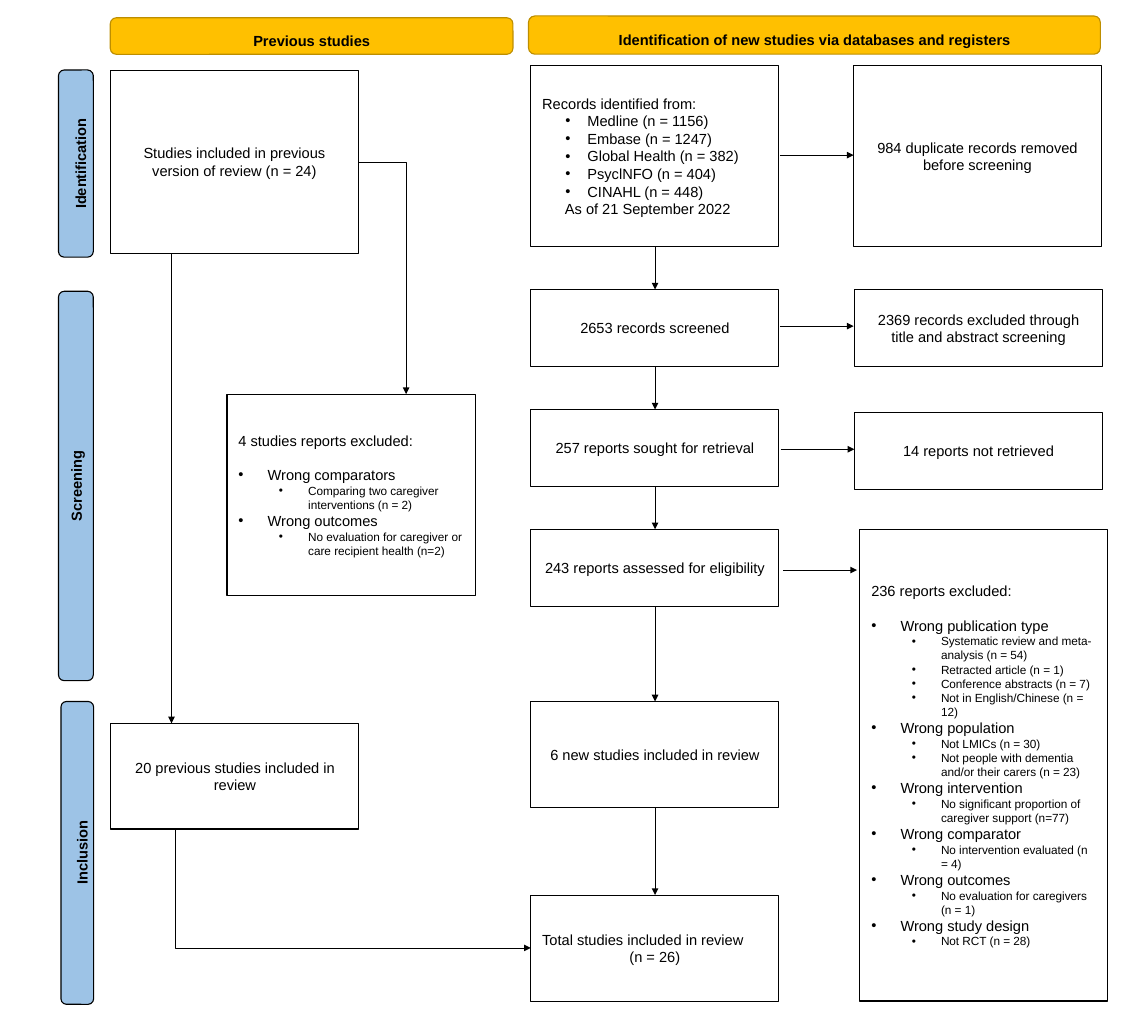
import pptx
import pptx.dml.color
import pptx.enum.shapes
import pptx.enum.text
import pptx.oxml.ns
import lxml.etree
from pptx.util import Pt

BLACK = pptx.dml.color.RGBColor(0x00, 0x00, 0x00)
WHITE = pptx.dml.color.RGBColor(0xFF, 0xFF, 0xFF)
AMBER = pptx.dml.color.RGBColor(0xFF, 0xC0, 0x00)
DARK_AMBER = pptx.dml.color.RGBColor(0xBD, 0x8E, 0x00)
SKY = pptx.dml.color.RGBColor(0x9D, 0xC3, 0xE6)

SHAPE = pptx.enum.shapes.MSO_SHAPE
CONNECTOR = pptx.enum.shapes.MSO_CONNECTOR
ALIGN = pptx.enum.text.PP_ALIGN

POINTS_PER_CM = 72 / 2.54
PAGE_WIDTH = 36 * POINTS_PER_CM
PAGE_HEIGHT = 32 * POINTS_PER_CM

BOX_WIDTH = 220.6
PREVIOUS_LEFT = 98
NEW_LEFT = 471.8
NEW_CENTRE = 582.3
REMOVED_LEFT = 759.5

DATABASES = [
    "Medline (n = 1156)",
    "Embase (n = 1247)",
    "Global Health (n = 382)",
    "PsyclNFO (n = 404)",
    "CINAHL (n = 448)",
]
PREVIOUS_EXCLUSIONS = {
    "Wrong comparators": ["Comparing two caregiver interventions (n = 2)"],
    "Wrong outcomes": ["No evaluation for caregiver or care recipient health (n=2)"],
}
NEW_EXCLUSIONS = {
    "Wrong publication type": [
        "Systematic review and meta-analysis (n = 54)",
        "Retracted article (n = 1)",
        "Conference abstracts (n = 7)",
        "Not in English/Chinese (n = 12)",
    ],
    "Wrong population": [
        "Not LMICs (n = 30)",
        "Not people with dementia and/or their carers (n = 23)",
    ],
    "Wrong intervention": ["No significant proportion of caregiver support (n=77)"],
    "Wrong comparator": ["No intervention evaluated (n = 4)"],
    "Wrong outcomes": ["No evaluation for caregivers (n = 1)"],
    "Wrong study design": ["Not RCT (n = 28)"],
}


def add_child(parent, tag, **attributes):
    return lxml.etree.SubElement(parent, pptx.oxml.ns.qn(tag), **attributes)


def write(box, text, size=13, bold=False, align=ALIGN.CENTER, level=0,
          margin=0, hanging=0, spacing=None, after=None):
    """Add one paragraph to the box; a hanging indent also gives it a bullet."""
    para = box.text_frame.paragraphs[0]
    if para.runs:
        para = box.text_frame.add_paragraph()
    para.alignment = align
    para.level = level
    if spacing:
        para.line_spacing = spacing
    if after:
        para.space_after = Pt(after)
    properties = para._p.get_or_add_pPr()
    properties.set("marL", str(Pt(margin)))
    properties.set("indent", str(Pt(-hanging)))
    if hanging:
        add_child(properties, "a:buFont", typeface="Arial")
        add_child(properties, "a:buChar", char="•")
    span = para.add_run()
    span.text = text
    span.font.name = "Arial"
    span.font.size = Pt(size)
    span.font.bold = bold
    span.font.color.rgb = BLACK


def add_box(page, left, top, width, height, kind=SHAPE.RECTANGLE, fill=None, line=BLACK):
    box = page.shapes.add_shape(kind, Pt(left), Pt(top), Pt(width), Pt(height))
    box.shadow.inherit = False
    if fill is None:
        box.fill.background()
    else:
        box.fill.solid()
        box.fill.fore_color.rgb = fill
    box.line.color.rgb = line
    box.line.width = Pt(1)
    frame = box.text_frame
    frame.word_wrap = True
    frame.vertical_anchor = pptx.enum.text.MSO_ANCHOR.MIDDLE
    frame.margin_left = frame.margin_right = Pt(10.2)
    frame.margin_top = frame.margin_bottom = Pt(5.1)
    return box


def add_step(page, text, left, top, height):
    write(add_box(page, left, top, BOX_WIDTH, height), text)


def add_heading(page, text, left, top, width, height):
    box = add_box(page, left, top, width, height,
                  SHAPE.FLOWCHART_ALTERNATE_PROCESS, AMBER, DARK_AMBER)
    write(box, text, bold=True, spacing=1.5)


def add_stage(page, text, left, top, width, height, spacing=1.5):
    """Add an upright label whose visible edges are the given ones."""
    shift = (height - width) / 2
    box = add_box(page, left - shift, top + shift, height, width,
                  SHAPE.FLOWCHART_ALTERNATE_PROCESS, SKY)
    box.rotation = 270
    write(box, text, bold=True, spacing=spacing)


def add_exclusions(page, title, reasons, left, top, height, fill=None):
    box = add_box(page, left, top, BOX_WIDTH, height, fill=fill)
    write(box, title, align=ALIGN.LEFT, after=15)
    for reason, details in reasons.items():
        write(box, reason, align=ALIGN.LEFT, margin=26, hanging=26)
        for detail in details:
            write(box, detail, size=10.5, align=ALIGN.LEFT, level=1, margin=62, hanging=26)


def add_arrow(page, start, end, kind=CONNECTOR.STRAIGHT):
    arrow = page.shapes.add_connector(kind, *map(Pt, start + end))
    arrow.line.color.rgb = BLACK
    arrow.line.width = Pt(0.5)
    add_child(arrow.line._get_or_add_ln(), "a:tailEnd", type="triangle")
    add_child(arrow._element.spPr, "a:effectLst")
    return arrow


def add_elbow(page, start, end, preset, bend=None):
    """Add a bent arrow; bend is the turning point in thousandths of a percent."""
    arrow = add_arrow(page, start, end, CONNECTOR.ELBOW)
    geometry = arrow._element.spPr.find(pptx.oxml.ns.qn("a:prstGeom"))
    geometry.set("prst", preset)
    if bend is not None:
        guides = geometry.find(pptx.oxml.ns.qn("a:avLst"))
        add_child(guides, "a:gd", name="adj1", fmla=f"val {bend}")


def add_previous_studies(page):
    add_heading(page, "Previous studies", PREVIOUS_LEFT, 15.8, 358, 32.5)
    add_step(page, "Studies included in previous version of review (n = 24)",
             PREVIOUS_LEFT, 62.5, 163)
    add_exclusions(page, "4 studies reports excluded:", PREVIOUS_EXCLUSIONS,
                   201.8, 350.5, 179, WHITE)
    add_step(page, "20 previous studies included in review", PREVIOUS_LEFT + 0.5, 643.3, 94)
    add_arrow(page, (152.5, 225.5), (152.5, 643.3))
    add_elbow(page, (319, 144), (361, 350.5), "bentConnector2")
    add_elbow(page, (152.5, 737.2), (NEW_LEFT, 843), "bentConnector3", 1100)


def add_new_studies(page):
    add_heading(page, "Identification of new studies via databases and registers",
                469.8, 14.2, 508.3, 34)

    records = add_box(page, NEW_LEFT, 58.3, BOX_WIDTH, 161)
    write(records, "Records identified from:", align=ALIGN.JUSTIFY)
    for database in DATABASES:
        write(records, database, align=ALIGN.JUSTIFY, margin=40.2, hanging=19.5)
    write(records, "As of 21 September 2022", align=ALIGN.JUSTIFY, margin=20.2)

    add_step(page, "2653 records screened", NEW_LEFT, 257.5, 68.4)
    add_step(page, "257 reports sought for retrieval", NEW_LEFT, 364.2, 68.4)
    add_step(page, "243 reports assessed for eligibility", NEW_LEFT, 470.7, 68.4)
    add_step(page, "6 new studies included in review", NEW_LEFT, 623.8, 94.3)
    total = add_box(page, NEW_LEFT, 796, BOX_WIDTH, 94.3)
    write(total, "Total studies included in review", align=ALIGN.LEFT)
    write(total, "(n = 26)")

    add_step(page, "984 duplicate records removed before screening", 758.5, 58.3, 161)
    add_step(page, "2369 records excluded through title and abstract screening",
             REMOVED_LEFT, 257.5, 68.4)
    add_step(page, "14 reports not retrieved", REMOVED_LEFT, 366.8, 68.4)
    add_exclusions(page, "236 reports excluded:", NEW_EXCLUSIONS, 764.3, 470.7, 419.5)

    for top, bottom in [(219.3, 257.5), (326, 364.2), (432.6, 470.7),
                        (539.1, 623.8), (718.1, 796)]:
        add_arrow(page, (NEW_CENTRE, top), (NEW_CENTRE, bottom))
    for left, height in [(693.3, 138), (693.3, 290), (694, 399.5), (696.3, 507)]:
        add_arrow(page, (left, height), (left + 65.5, height))


def main():
    deck = pptx.Presentation()
    deck.slide_width = Pt(PAGE_WIDTH)
    deck.slide_height = Pt(PAGE_HEIGHT)
    page = deck.slides.add_slide(deck.slide_layouts.get_by_name("Blank"))
    add_stage(page, "Identification", 52, 62.2, 31, 166.5)
    add_stage(page, "Screening", 52, 259, 31, 346.3, spacing=None)
    add_stage(page, "Inclusion", 54.2, 623.8, 29, 269.3)
    add_previous_studies(page)
    add_new_studies(page)
    deck.save("out.pptx")


if __name__ == "__main__":
    main()
